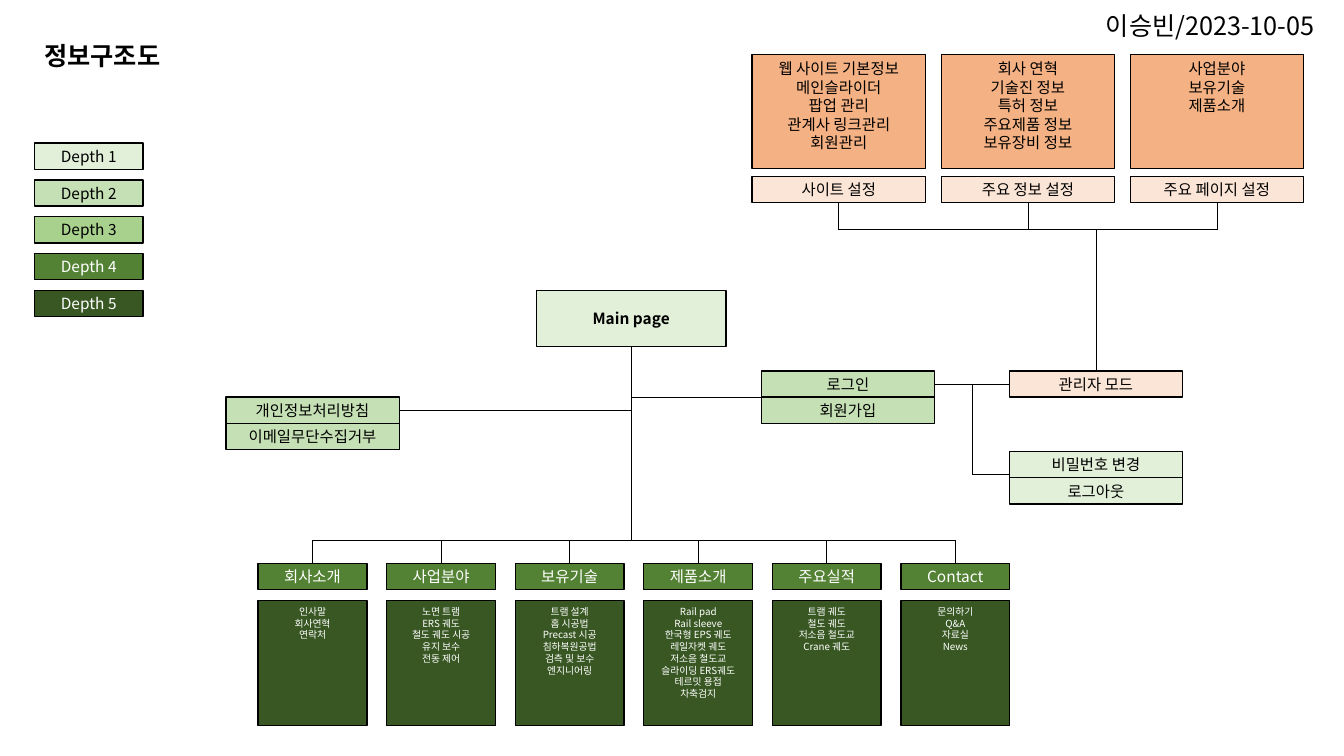
from lxml import etree
from pptx import Presentation
from pptx.dml.color import RGBColor
from pptx.enum import shapes, text
from pptx.oxml import ns
from pptx.util import Inches, Pt

FONT = "Noto Sans CJK KR"
BLACK = RGBColor(0x00, 0x00, 0x00)
WHITE = RGBColor(0xFF, 0xFF, 0xFF)
GREEN_1 = RGBColor(0xE2, 0xF0, 0xD9)
GREEN_2 = RGBColor(0xC5, 0xE0, 0xB4)
GREEN_3 = RGBColor(0xA9, 0xD1, 0x8E)
GREEN_4 = RGBColor(0x54, 0x82, 0x35)
GREEN_5 = RGBColor(0x38, 0x57, 0x23)
PEACH = RGBColor(0xFB, 0xE5, 0xD6)
ORANGE = RGBColor(0xF4, 0xB1, 0x83)

BOX_H = 0.26
DEPTH_W, PAGE_W = 1.08, 1.72
DEPTHS = [(GREEN_1, BLACK), (GREEN_2, BLACK), (GREEN_3, BLACK),
          (GREEN_4, WHITE), (GREEN_5, WHITE)]
ADMIN_SETTINGS = [
    ("사이트 설정", ["웹 사이트 기본정보", "메인슬라이더", "팝업 관리",
                "관계사 링크관리", "회원관리"]),
    ("주요 정보 설정", ["회사 연혁", "기술진 정보", "특허 정보",
                  "주요제품 정보", "보유장비 정보"]),
    ("주요 페이지 설정", ["사업분야", "보유기술", "제품소개"]),
]
MENUS = [
    ("회사소개", ["인사말", "회사연혁", "연락처"]),
    ("사업분야", ["노면 트램", "ERS 궤도", "철도 궤도 시공", "유지 보수", "전동 제어"]),
    ("보유기술", ["트램 설계", "홈 시공법", "Precast 시공", "침하복원공법",
              "검측 및 보수", "엔지니어링"]),
    ("제품소개", ["Rail pad", "Rail sleeve", "한국형 EPS 궤도", "레일자켓 궤도",
              "저소음 철도교", "슬라이딩 ERS궤도", "테르밋 용접", "차축검지"]),
    ("주요실적", ["트램 궤도", "철도 궤도", "저소음 철도교", "Crane 궤도"]),
    ("Contact", ["문의하기", "Q&A", "자료실", "News"]),
]
PAGE_GROUPS = [
    (2.24, 3.94, GREEN_2, ["개인정보처리방침", "이메일무단수집거부"]),
    (7.55, 3.68, GREEN_2, ["로그인", "회원가입"]),
    (10.01, 3.68, PEACH, ["관리자 모드"]),
    (10.01, 4.48, GREEN_1, ["비밀번호 변경", "로그아웃"]),
]


def write(tf, lines, size=11, color=BLACK, bold=False,
          align=text.PP_ALIGN.CENTER, anchor=text.MSO_ANCHOR.MIDDLE, wrap=True):
    """Fill a text frame with one paragraph per line."""
    tf.word_wrap = wrap
    tf.vertical_anchor = anchor
    for i, line in enumerate(lines):
        p = tf.paragraphs[0] if i == 0 else tf.add_paragraph()
        p.alignment = align
        r = p.add_run()
        r.text = line
        r.font.name, r.font.size, r.font.bold = FONT, Pt(size), bold
        r.font.color.rgb = color
        ea = etree.SubElement(r.font._element, ns.qn("a:ea"))
        ea.set("typeface", FONT)


class SiteMap:
    def __init__(self, prs):
        self.s = prs.slides.add_slide(prs.slide_layouts[5])

    def heading(self, sp, label, x, y, w, **style):
        sp.left, sp.top, sp.width, sp.height = map(Inches, (x, y, w, 0.4))
        write(sp.text_frame, [label], size=18, align=text.PP_ALIGN.LEFT,
              anchor=text.MSO_ANCHOR.TOP, **style)
        sp.text_frame.auto_size = text.MSO_AUTO_SIZE.SHAPE_TO_FIT_TEXT

    def title(self, label, x, y, w):
        self.heading(self.s.shapes.title, label, x, y, w, bold=True)

    def label(self, label, x, y, w):
        sp = self.s.shapes.add_textbox(0, 0, 0, 0)
        self.heading(sp, label, x, y, w, wrap=False)

    def box(self, lines, x, y, w, fill, h=BOX_H, **style):
        sp = self.s.shapes.add_shape(shapes.MSO_SHAPE.RECTANGLE,
                                     *map(Inches, (x, y, w, h)))
        sp.shadow.inherit = False
        sp.fill.solid()
        sp.fill.fore_color.rgb = fill
        sp.line.color.rgb = BLACK
        sp.line.width = Pt(1)
        write(sp.text_frame, lines, **style)

    def line(self, x1, y1, x2, y2):
        c = self.s.shapes.add_connector(shapes.MSO_CONNECTOR.STRAIGHT,
                                        *map(Inches, (x1, y1, x2, y2)))
        c.line.color.rgb = BLACK
        c.line.width = Pt(0.5)
        etree.SubElement(c._element.spPr, ns.qn("a:effectLst"))


def draw_admin(site):
    rail_y = 2.28
    centres = []
    for i, (name, items) in enumerate(ADMIN_SETTINGS):
        x = 7.46 + 1.875 * i
        centres.append(x + PAGE_W / 2)
        site.box(items, x, 0.54, PAGE_W, ORANGE, h=1.13, anchor=text.MSO_ANCHOR.TOP)
        site.box([name], x, 1.75, PAGE_W, PEACH)
        site.line(centres[-1], 1.75 + BOX_H, centres[-1], rail_y)
    site.line(centres[0], rail_y, centres[-1], rail_y)
    site.line(10.87, rail_y, 10.87, 3.68)


def draw_menus(site):
    rail_y, menu_y = 5.36, 5.59
    centres = []
    for i, (name, items) in enumerate(MENUS):
        x = 2.56 + 1.275 * i
        centres.append(x + DEPTH_W / 2)
        site.line(centres[-1], rail_y, centres[-1], menu_y)
        site.box([name], x, menu_y, DEPTH_W, GREEN_4, color=WHITE)
        site.box(items, x, 5.96, DEPTH_W, GREEN_5, h=1.24, size=7, color=WHITE,
                 anchor=text.MSO_ANCHOR.TOP)
    site.line(centres[0], rail_y, centres[-1], rail_y)


def draw_pages(site):
    trunk_x, branch_x = 6.26, 9.64
    site.line(trunk_x, 3.44, trunk_x, 5.36)
    site.line(3.95, 4.07, trunk_x, 4.07)
    site.line(trunk_x, 3.94, 7.55, 3.94)
    site.line(9.26, 3.81, 10.01, 3.81)
    site.line(branch_x, 3.81, branch_x, 4.71)
    site.line(branch_x, 4.71, 10.01, 4.71)
    site.box(["Main page"], 5.32, 2.88, 1.88, GREEN_1, h=0.56, bold=True)
    for x, y, fill, names in PAGE_GROUPS:
        for i, name in enumerate(names):
            site.box([name], x, y + BOX_H * i, PAGE_W, fill)


def main():
    prs = Presentation()
    prs.slide_width, prs.slide_height = Inches(13.33), Inches(7.5)
    site = SiteMap(prs)
    site.title("정보구조도", 0.34, 0.35, 1.52)
    site.label("이승빈/2023-10-05", 10.87, 0.05, 2.37)
    for i, (fill, color) in enumerate(DEPTHS):
        site.box([f"Depth {i + 1}"], 0.34, 1.42 + 0.365 * i, DEPTH_W, fill, color=color)
    draw_pages(site)
    draw_admin(site)
    draw_menus(site)
    prs.save("out.pptx")


if __name__ == "__main__":
    main()
